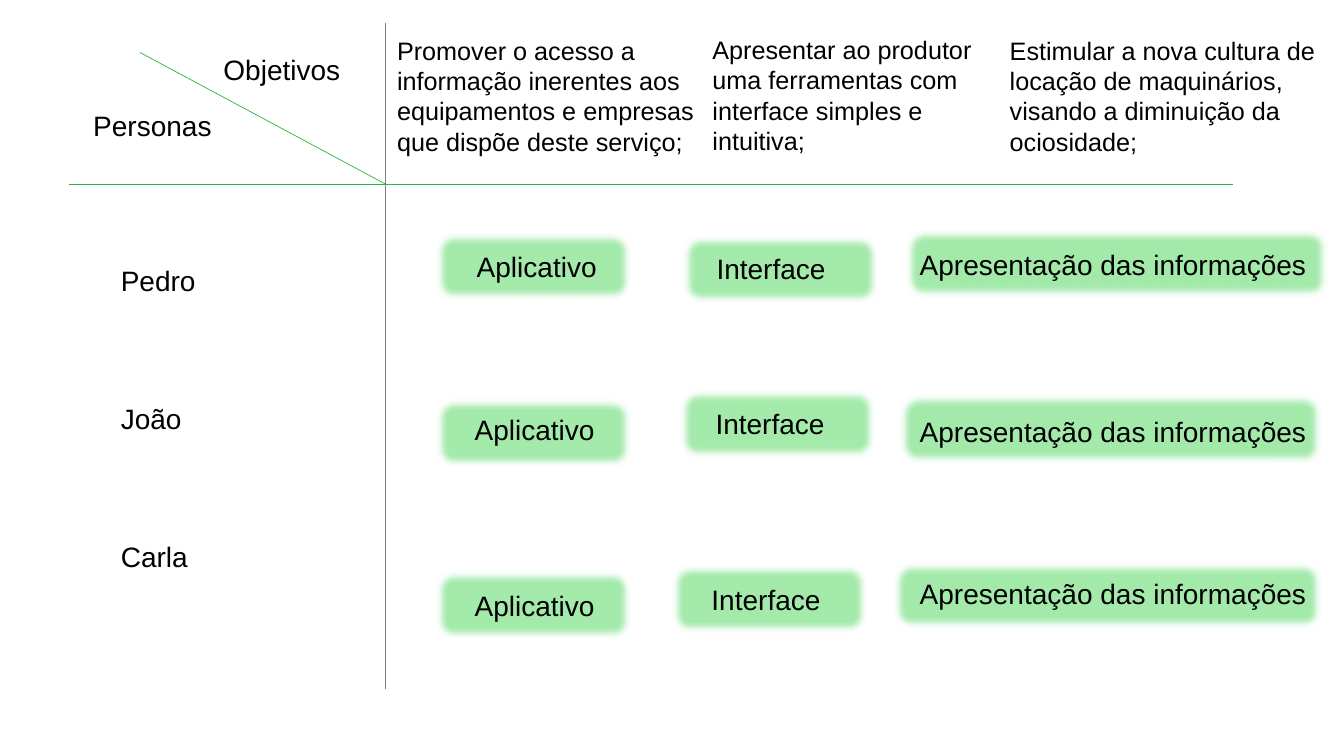
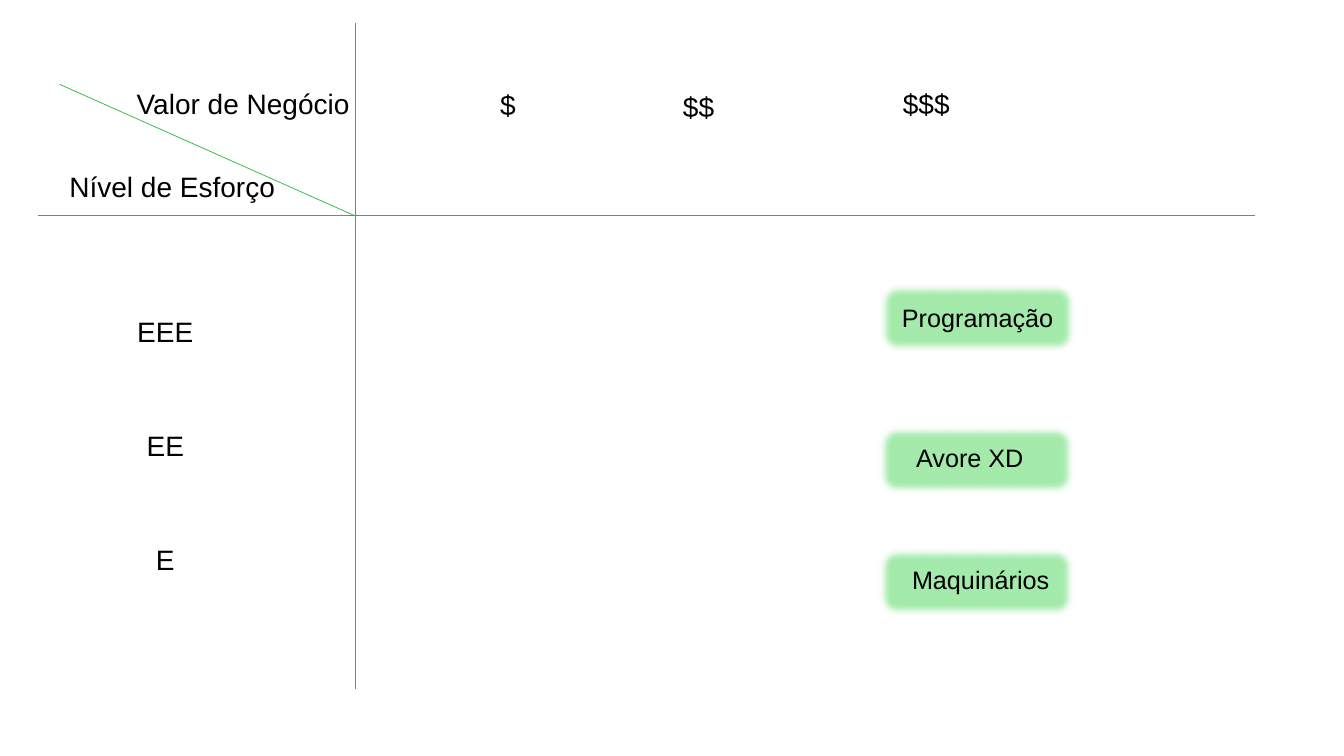
from dataclasses import dataclass

from lxml.etree import SubElement
from pptx import Presentation
from pptx.dml.color import RGBColor
from pptx.enum.shapes import MSO_CONNECTOR, MSO_SHAPE
from pptx.enum.text import MSO_AUTO_SIZE, PP_ALIGN
from pptx.oxml.ns import qn
from pptx.slide import Slide
from pptx.util import Pt

COLORS = {
    "text": "000000",
    "rule": "2AB83A",
    "axis": "808080",
    "pill": "A3EAAB",
    "pill_line": "1F882B",
}
FONT = "Arial"
SOFT_EDGE = Pt(5)
AXIS_TOP, AXIS_BOTTOM = 16.5, 492.5
LEFT, CENTER = PP_ALIGN.LEFT, PP_ALIGN.CENTER


@dataclass(frozen=True)
class Label:
    text: str
    left: float
    top: float
    width: float = 109
    height: float = 31.7
    size: int = 20
    align: PP_ALIGN = LEFT


@dataclass(frozen=True)
class Pill:
    left: float
    top: float
    label: Label
    width: float = 139
    height: float = 48.2


@dataclass(frozen=True)
class Frame:
    """Axes that cross at (x, y), with a diagonal in the corner cell."""
    x: float
    y: float
    left: float
    right: float
    diagonal_left: float
    diagonal_top: float


@dataclass(frozen=True)
class Matrix:
    frame: Frame
    labels: list[Label]
    pills: list[Pill]


def color(name: str) -> RGBColor:
    return RGBColor.from_string(COLORS[name])


def add_line(slide: Slide, start: tuple[float, float], end: tuple[float, float],
             color_name: str = "rule") -> None:
    points = [Pt(value) for value in (*start, *end)]
    connector = slide.shapes.add_connector(MSO_CONNECTOR.STRAIGHT, *points)
    connector.line.color.rgb = color(color_name)
    connector.line.width = Pt(0.5)
    SubElement(connector.element.spPr, qn("a:effectLst"))


def add_frame(slide: Slide, frame: Frame) -> None:
    corner = (frame.x, frame.y)
    add_line(slide, (frame.left, frame.y), (frame.right, frame.y))
    add_line(slide, (frame.x, AXIS_TOP), (frame.x, AXIS_BOTTOM), "axis")
    add_line(slide, corner, (frame.diagonal_left, frame.diagonal_top))


def add_label(slide: Slide, label: Label) -> None:
    box = slide.shapes.add_textbox(
        Pt(label.left), Pt(label.top), Pt(label.width), Pt(label.height))
    frame_format = {"word_wrap": True, "auto_size": MSO_AUTO_SIZE.SHAPE_TO_FIT_TEXT}
    for name, value in frame_format.items():
        setattr(box.text_frame, name, value)
    paragraph = box.text_frame.paragraphs[0]
    paragraph.alignment = label.align
    run = paragraph.add_run()
    run.text = label.text
    for name, value in {"name": FONT, "size": Pt(label.size)}.items():
        setattr(run.font, name, value)
    run.font.color.rgb = color("text")


def add_pill(slide: Slide, pill: Pill) -> None:
    """Draw a soft-edged rounded box and its label."""
    shape = slide.shapes.add_shape(
        MSO_SHAPE.ROUNDED_RECTANGLE,
        Pt(pill.left), Pt(pill.top), Pt(pill.width), Pt(pill.height))
    shape.fill.solid()
    shape.fill.fore_color.rgb = color("pill")
    shape.line.color.rgb = color("pill_line")
    shape.line.width = Pt(1)
    shape.shadow.inherit = False
    effects = shape.element.spPr.find(qn("a:effectLst"))
    SubElement(effects, qn("a:softEdge"), rad=str(int(SOFT_EDGE)))
    add_label(slide, pill.label)


def add_matrix(presentation: Presentation, matrix: Matrix) -> None:
    slide = presentation.slides.add_slide(presentation.slide_layouts[6])
    add_frame(slide, matrix.frame)
    for label in matrix.labels:
        add_label(slide, label)
    for pill in matrix.pills:
        add_pill(slide, pill)


def app_pill(top: float, text_left: float, text_top: float) -> Pill:
    return Pill(311.8, top, Label("Aplicativo", text_left, text_top))


def interface_pill(left: float, top: float, text_left: float, text_top: float) -> Pill:
    return Pill(left, top, Label("Interface", text_left, text_top))


def information_pill(left: float, top: float, text_top: float,
                     width: float = 300.2, height: float = 48.2) -> Pill:
    label = Label("Apresentação das informações", 645, text_top, 300.2, align=CENTER)
    return Pill(left, top, label, width, height)


def goal(text: str, left: float, top: float, width: float) -> Label:
    return Label(text, left, top, width, 94.3, 18)


def centered(text: str, left: float, top: float) -> Label:
    return Label(text, left, top, 151.2, align=CENTER)


def tool_pill(text: str, left: float, top: float,
              text_left: float, text_top: float) -> Pill:
    return Pill(left, top, Label(text, text_left, text_top, 133, 29, 18))


PERSONAS = Matrix(
    Frame(x=275.6, y=131.6, left=49, right=880.6, diagonal_left=100, diagonal_top=37.5),
    [
        Label("Personas", 59.5, 74.3),
        Label("Objetivos", 152.5, 34.3),
        *(Label(name, 79.2, 185 + 98.3 * row)
          for row, name in enumerate(("Pedro", "João", "Carla"))),
        goal("Promover o acesso a informação inerentes aos equipamentos e empresas "
             "que dispõe deste serviço;", 276.5, 21.6, 234),
        goal("Apresentar ao produtor uma ferramentas com interface simples e "
             "intuitiva;", 501.8, 21, 222.5),
        goal("Estimular a nova cultura de locação de maquinários, visando a "
             "diminuição da ociosidade;", 714.2, 21.6, 266.4),
    ],
    [
        app_pill(166.3, 333.4, 175),
        app_pill(285.1, 331.9, 290.9),
        app_pill(408.2, 331.9, 416.9),
        interface_pill(488.2, 168.5, 504.7, 176.4),
        interface_pill(486, 278.6, 504, 286.6),
        interface_pill(480.2, 403.9, 501.1, 412.6),
        information_pill(647.3, 164.2, 173.5),
        information_pill(643, 282.2, 292.3),
        information_pill(638.6, 402.5, 408.2, 304.6, 46.1),
    ],
)

EFFORT = Matrix(
    Frame(x=253.6, y=154.2, left=27.3, right=896.4, diagonal_left=42.7, diagonal_top=60.3),
    [
        Label("Nível de Esforço", 42.5, 117.4, 177),
        Label("Valor de Negócio", 90.5, 58.3, 168.5),
        *(centered("E" * (3 - row), 42.5, 221 + 81.4 * row) for row in range(3)),
        centered("$", 287.3, 59),
        centered("$$", 423.4, 60.5),
        centered("$$$", 586.1, 58.3),
    ],
    [
        tool_pill("Programação", 628.6, 203, 637.2, 212.4),
        tool_pill("Avore XD", 627.8, 304.6, 647.3, 312.5),
        tool_pill("Maquinários", 627.8, 391.7, 644.4, 399.6),
    ],
)


def main() -> None:
    presentation = Presentation()
    presentation.slide_width, presentation.slide_height = Pt(960), Pt(540)
    for matrix in (PERSONAS, EFFORT):
        add_matrix(presentation, matrix)
    presentation.save("out.pptx")


if __name__ == "__main__":
    main()
